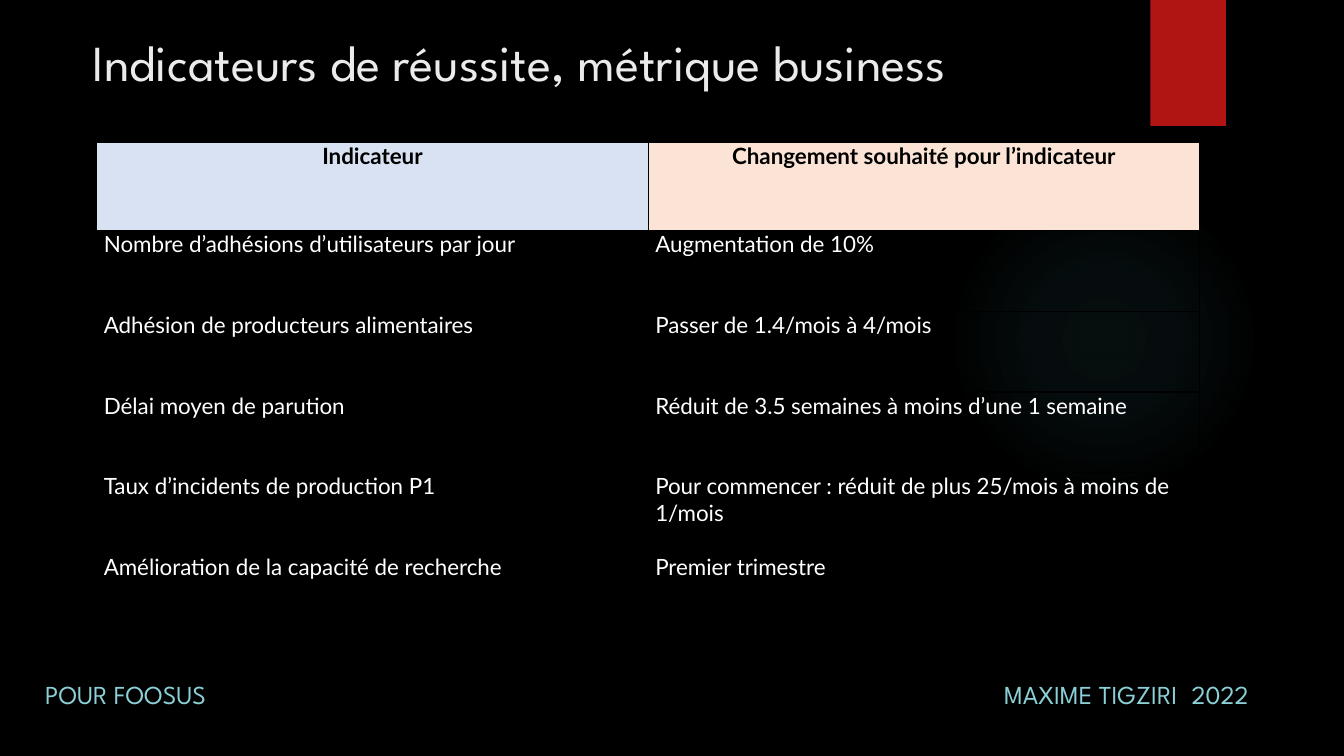
from lxml import etree
from pptx import Presentation
from pptx.dml.color import RGBColor
from pptx.enum import shapes, text
from pptx.oxml import parse_xml
from pptx.oxml.ns import qn
from pptx.util import Inches, Pt

BLACK = RGBColor(0x00, 0x00, 0x00)
WHITE = RGBColor(0xFF, 0xFF, 0xFF)
PALE = RGBColor(0xEB, 0xEB, 0xEB)
RED = RGBColor(0xB0, 0x15, 0x13)
AQUA = RGBColor(0x8A, 0xD0, 0xD6)
TEAL = RGBColor(0x50, 0xB9, 0xC1)
BLUE = RGBColor(0xD9, 0xE2, 0xF3)
PEACH = RGBColor(0xFB, 0xE4, 0xD5)
NS = 'xmlns:a="http://schemas.openxmlformats.org/drawingml/2006/main"'

ROWS = [
    ("Indicateur", "Changement souhaité pour l’indicateur"),
    ("Nombre d’adhésions d’utilisateurs par jour", "Augmentation de 10%"),
    ("Adhésion de producteurs alimentaires", "Passer de 1.4/mois à 4/mois"),
    ("Délai moyen de parution", "Réduit de 3.5 semaines à moins d’une 1 semaine"),
    ("Taux d’incidents de production P1",
     "Pour commencer : réduit de plus 25/mois à moins de 1/mois"),
    ("Amélioration de la capacité de recherche", "Premier trimestre"),
]


def style(par, name, size, color, bold=False):
    font = par.runs[0].font
    font.name, font.size, font.bold = name, Pt(size), bold
    font.color.rgb = color


prs = Presentation()
prs.slide_width, prs.slide_height = Inches(13.33), Inches(7.5)
slide = prs.slides.add_slide(prs.slide_layouts[5])
slide.background.fill.solid()
slide.background.fill.fore_color.rgb = BLACK

# Soft glow and red tab
glow = slide.shapes.add_shape(shapes.MSO_SHAPE.OVAL, Inches(9.41), Inches(1.83),
                              Inches(3.08), Inches(3.08))
glow.shadow.inherit = False
glow.line.fill.background()
stops = "".join(
    f'<a:gs pos="{pos * 1000}"><a:srgbClr val="{TEAL}">'
    f'<a:alpha val="{alpha * 1000}"/></a:srgbClr></a:gs>'
    for pos, alpha in ((0, 7), (36, 6), (69, 0), (100, 0)))
grad = parse_xml(
    f'<a:gradFill {NS}><a:gsLst>{stops}</a:gsLst><a:path path="circle">'
    '<a:fillToRect l="50000" t="50000" r="50000" b="50000"/></a:path></a:gradFill>')
glow.element.spPr.find(qn("a:prstGeom")).addnext(grad)

tab = slide.shapes.add_shape(shapes.MSO_SHAPE.RECTANGLE, Inches(11.41), 0,
                             Inches(0.75), Inches(1.25))
tab.shadow.inherit = False
tab.fill.solid()
tab.fill.fore_color.rgb = RED
tab.line.fill.background()

# Title
title = slide.shapes.title
title.left, title.top = Inches(0.82), Inches(0.15)
title.width, title.height = Inches(10.29), Inches(0.92)
frame = title.text_frame
frame.text = "Indicateurs de réussite, métrique business"
frame.auto_size = text.MSO_AUTO_SIZE.NONE
frame.vertical_anchor = text.MSO_ANCHOR.MIDDLE
frame.paragraphs[0].alignment = text.PP_ALIGN.LEFT
style(frame.paragraphs[0], "League Spartan", 36, PALE)

# Table of indicators
table = slide.shapes.add_table(len(ROWS), 2, Inches(0.96), Inches(1.41),
                               Inches(10.94), Inches(4.88)).table
table.first_row = table.horz_banding = False
for r, row in enumerate(ROWS):
    head = r == 0
    table.rows[r].height = Inches(0.88 if head else 0.8)
    for c, words in enumerate(row):
        cell = table.cell(r, c)
        cell.margin_left = cell.margin_right = Inches(0.07)
        cell.margin_top = cell.margin_bottom = 0
        cell.text = words
        par = cell.text_frame.paragraphs[0]
        style(par, "Lato", 16, BLACK if head else WHITE, head)
        if head:
            par.alignment = text.PP_ALIGN.CENTER
            cell.fill.solid()
            cell.fill.fore_color.rgb = (BLUE, PEACH)[c]
        else:
            cell.fill.background()
        props = cell._tc.get_or_add_tcPr()
        for i, side in enumerate(("lnL", "lnR", "lnT", "lnB")):
            props.insert(i, parse_xml(
                f'<a:{side} {NS} w="12700"><a:solidFill><a:srgbClr val="{BLACK}"/>'
                f'</a:solidFill></a:{side}>'))

# Footer, spread over tab stops
foot = slide.shapes.add_textbox(Inches(0.35), Inches(6.62), Inches(12.82), Inches(0.53))
frame = foot.text_frame
frame.word_wrap = True
frame.vertical_anchor = text.MSO_ANCHOR.MIDDLE
par = frame.paragraphs[0]
par.text = "POUR FOOSUS\tMAXIME TIGZIRI\t2022"
style(par, "League Spartan", 18.5, AQUA)
tabs = etree.SubElement(par._p.get_or_add_pPr(), qn("a:tabLst"))
for pos in (9.51, 11.37):
    etree.SubElement(tabs, qn("a:tab"), pos=str(Inches(pos)), algn="l")

prs.save("out.pptx")
